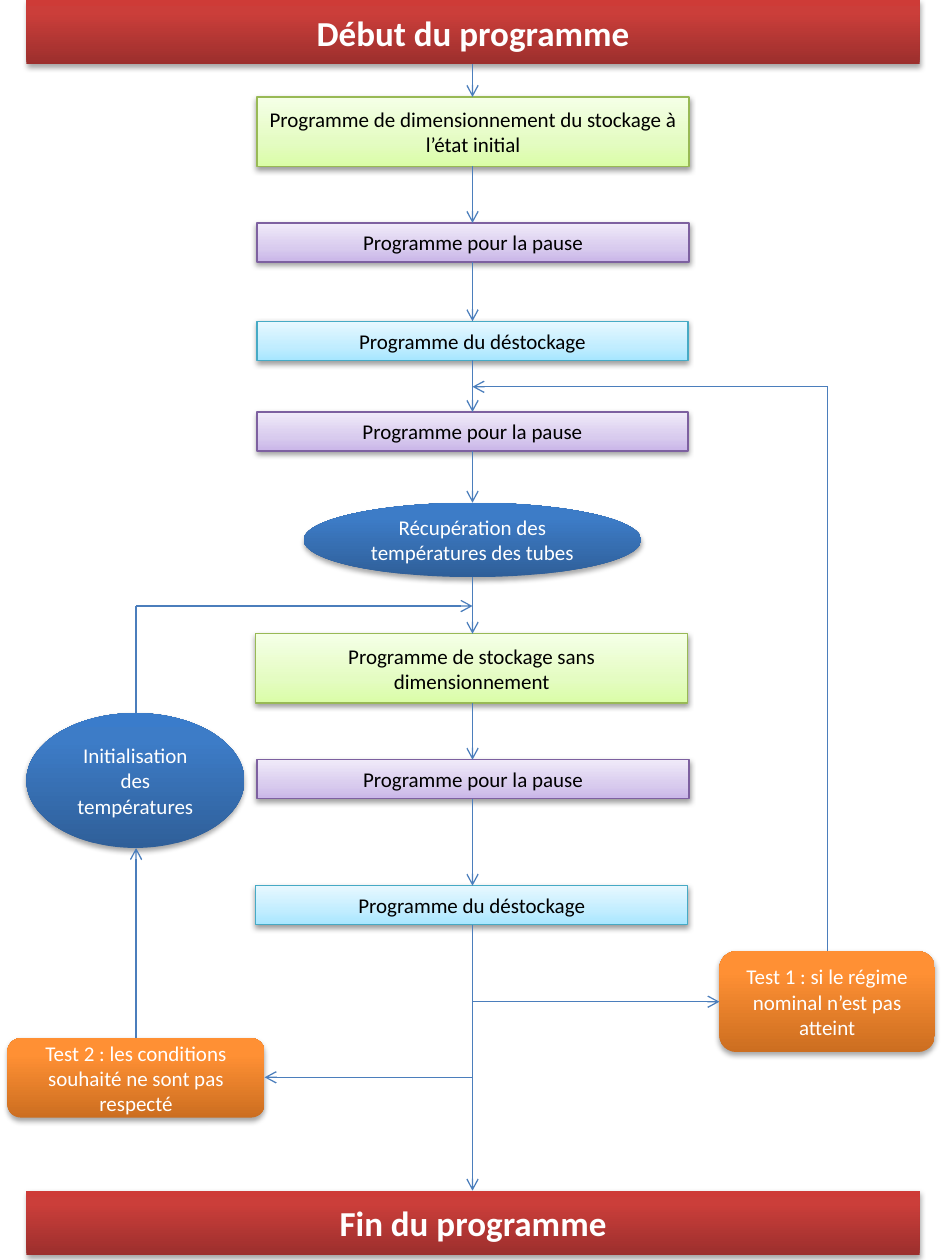
"""Build a one-page flowchart of a storage and release programme."""
from itertools import pairwise

from lxml.etree import SubElement
from pptx import Presentation
from pptx.dml.color import RGBColor
from pptx.enum.shapes import MSO_CONNECTOR as Link, MSO_SHAPE as Form
from pptx.enum.text import MSO_ANCHOR as Anchor, MSO_AUTO_SIZE as Fit, PP_ALIGN as Align
from pptx.oxml.ns import qn
from pptx.util import Inches, Pt

THEME = {
    "font": "Calibri",
    "arrow": "4B7EBC",
    "line_width": Pt(0.75),
    "text": {
        "banner": {"size": Pt(20), "bold": True, "color": "FFFFFF"},
        "dark": {"size": Pt(12), "bold": False, "color": "000000"},
        "light": {"size": Pt(12), "bold": False, "color": "FFFFFF"},
    },
    "strong": {"middle": 80, "alpha": 35, "distance": Pt(1.8)},
    "soft": {"middle": 35, "alpha": 38, "distance": Pt(1.6)},
    "styles": {
        "banner": (Form.RECTANGLE, ("9C2F2D", "CB3E3A", "CE3B37"), None, "banner", "strong"),
        "storage": (Form.RECTANGLE, ("DAFDA7", "E4FCC2", "F5FFE7"), "98B955", "dark", "soft"),
        "pause": (Form.RECTANGLE, ("C9B5E8", "D8CBEE", "F0EAF9"), "7D60A0", "dark", "soft"),
        "release": (Form.RECTANGLE, ("A7E6FF", "C1EDFF", "E7F8FF"), "46AAC5", "dark", "soft"),
        "data": (Form.OVAL, ("2F5F99", "3D7CC7", "3A7CCB"), None, "light", "strong"),
        "test": (Form.ROUNDED_RECTANGLE, ("CC6E20", "FF9034", "FF9136"), None, "light", "strong"),
    },
}

CENTER = 3.75
LEFT_LANE = 1.08
RIGHT_LANE = 6.57

STEPS = [
    ("Début du programme", "banner", 0.21, 0, 7.09, 0.51),
    ("Programme de dimensionnement du stockage à l’état initial", "storage", 2.04, 0.77, 3.43, 0.55),
    ("Programme pour la pause", "pause", 2.04, 1.77, 3.43, 0.31),
    ("Programme du déstockage", "release", 2.04, 2.55, 3.42, 0.31),
    ("Programme pour la pause", "pause", 2.04, 3.27, 3.42, 0.31),
    ("Récupération des températures des tubes", "data", 2.41, 3.99, 2.68, 0.59),
    ("Programme de stockage sans dimensionnement", "storage", 2.03, 5.03, 3.43, 0.55),
    ("Programme pour la pause", "pause", 2.04, 6.03, 3.43, 0.31),
    ("Programme du déstockage", "release", 2.03, 7.03, 3.43, 0.31),
    ("Fin du programme", "banner", 0.21, 9.45, 7.09, 0.51),
]
SIDE_BOXES = [
    ("Test 1 : si le régime nominal n’est pas atteint", "test", 5.71, 7.55, 1.71, 0.8),
    ("Test 2 : les conditions souhaité ne sont pas respecté", "test", 0.06, 8.24, 2.04, 0.63),
    ("Initialisation des températures", "data", 0.21, 5.66, 1.73, 1.07),
]
ROUTES = [
    [(CENTER, 7.95), (5.71, 7.95)],
    [(RIGHT_LANE, 7.55), (RIGHT_LANE, 3.07), (CENTER, 3.07)],
    [(CENTER, 8.55), (2.1, 8.55)],
    [(LEFT_LANE, 8.24), (LEFT_LANE, 6.73)],
    [(LEFT_LANE, 5.66), (LEFT_LANE, 4.81), (CENTER, 4.81)],
]


def add_box(page, text, style, left, top, width, height):
    form, colors, outline, text_style, depth_name = THEME["styles"][style]
    depth = THEME[depth_name]
    place = {"left": left, "top": top, "width": width, "height": height}
    if page.shapes.title.has_text_frame and not page.shapes.title.text_frame.text:
        box = page.shapes.title
    else:
        box = page.shapes.add_shape(form, 0, 0, 0, 0)
    for name, value in place.items():
        setattr(box, name, Inches(value))

    box.fill.gradient()
    box.fill.gradient_angle = 90
    properties = box.element.spPr
    stops = properties.find(qn("a:gradFill")).find(qn("a:gsLst"))
    stops.clear()
    for position, color in zip((0, depth["middle"], 100), colors):
        stop = SubElement(stops, qn("a:gs"), pos=str(position * 1000))
        SubElement(stop, qn("a:srgbClr"), val=color)
    if outline:
        box.line.color.rgb = RGBColor.from_string(outline)
        box.line.width = THEME["line_width"]
    else:
        box.line.fill.background()

    effects = SubElement(properties, qn("a:effectLst"))
    shadow = SubElement(effects, qn("a:outerShdw"), blurRad=str(Pt(3.1)),
                        dist=str(depth["distance"]), dir="5400000", rotWithShape="0")
    shade = SubElement(shadow, qn("a:srgbClr"), val="000000")
    SubElement(shade, qn("a:alpha"), val=str(depth["alpha"] * 1000))

    frame = box.text_frame
    frame_format = {"word_wrap": True, "auto_size": Fit.NONE, "vertical_anchor": Anchor.MIDDLE}
    for name, value in frame_format.items():
        setattr(frame, name, value)
    para = frame.paragraphs[0]
    para.alignment = Align.CENTER
    span = para.add_run()
    span.text = text
    look = THEME["text"][text_style]
    font_format = {"name": THEME["font"], "size": look["size"], "bold": look["bold"]}
    for name, value in font_format.items():
        setattr(span.font, name, value)
    span.font.color.rgb = RGBColor.from_string(look["color"])


def add_route(page, points):
    for start, end in pairwise(points):
        link = page.shapes.add_connector(Link.STRAIGHT, *map(Inches, start + end))
        link.line.color.rgb = RGBColor.from_string(THEME["arrow"])
        link.line.width = THEME["line_width"]
        properties = link.element.spPr
        if end == points[-1]:
            SubElement(properties.find(qn("a:ln")), qn("a:tailEnd"), type="arrow")
        SubElement(properties, qn("a:effectLst"))


deck = Presentation()
deck.slide_width = Inches(7.5)
deck.slide_height = Inches(10)
page = deck.slides.add_slide(deck.slide_layouts[5])

for entry in STEPS + SIDE_BOXES:
    add_box(page, *entry)

for (*_, top, _, height), (*_, next_top, _, _) in pairwise(STEPS):
    add_route(page, [(CENTER, top + height), (CENTER, next_top)])

for route in ROUTES:
    add_route(page, route)

deck.save("out.pptx")
